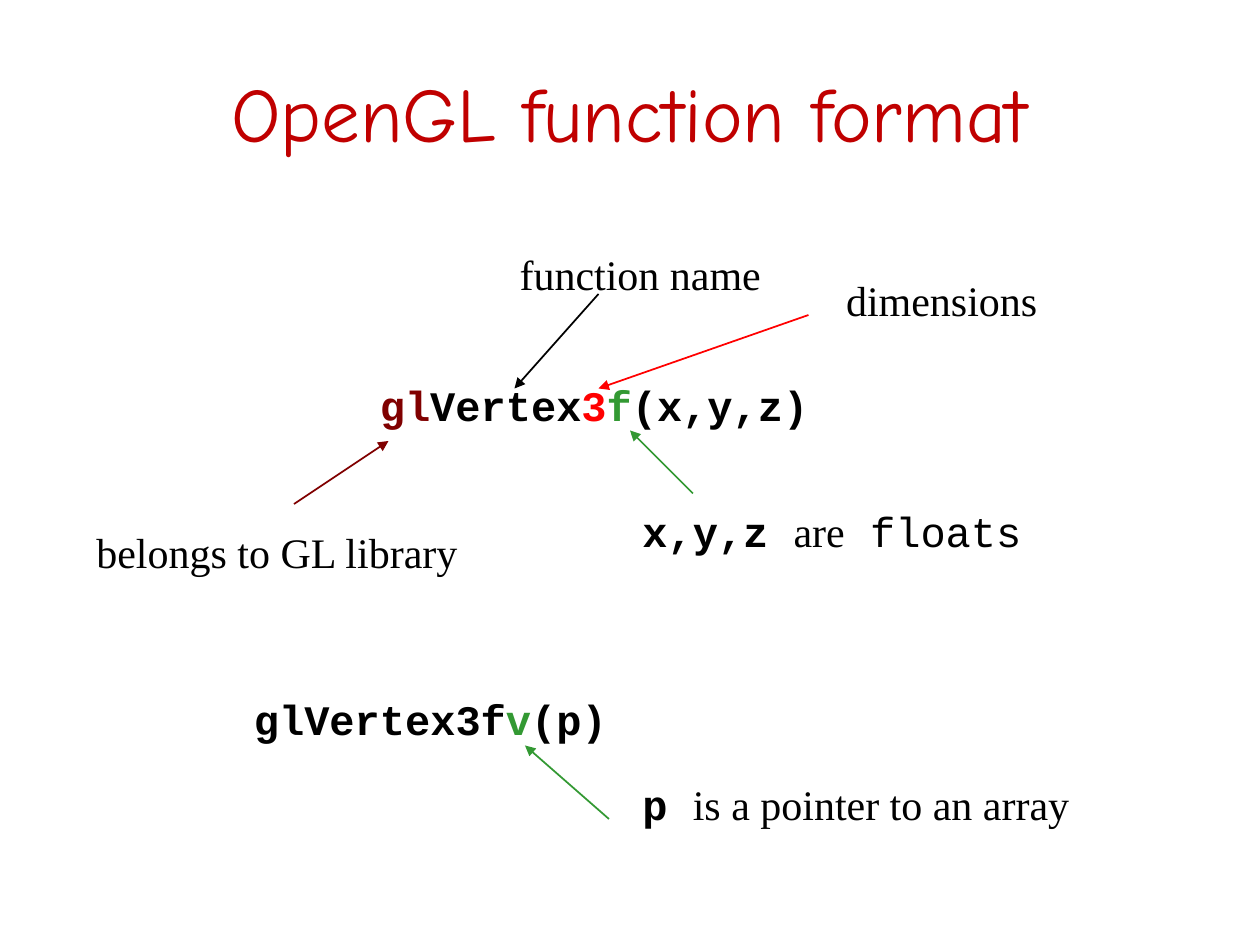
from lxml import etree
from pptx import Presentation
from pptx.dml.color import RGBColor
from pptx.enum.shapes import MSO_CONNECTOR
from pptx.enum.text import MSO_ANCHOR, MSO_AUTO_SIZE, PP_ALIGN
from pptx.oxml.ns import qn
from pptx.util import Inches, Pt

STRAIGHT = MSO_CONNECTOR.STRAIGHT
MIDDLE = MSO_ANCHOR.MIDDLE
FIT_SHAPE = MSO_AUTO_SIZE.SHAPE_TO_FIT_TEXT
CENTER = PP_ALIGN.CENTER

THEME = {
    "title": "C00000", "text": "000000", "library": "800000",
    "dimension": "FF0000", "type": "339933",
    "title_font": "Comic Neue", "code_font": "Courier New",
    "label_font": "Times New Roman",
    "title_size": 44, "body_size": 24, "line_width": 1, "line_spacing": 0.93,
}

prs = Presentation()
prs.slide_width, prs.slide_height = Inches(10), Inches(7.5)
s = prs.slides.add_slide(prs.slide_layouts[6])

# The slide is a grid of 120 columns by 90 rows
COL = prs.slide_width / 120
ROW = prs.slide_height / 90
LABEL_ROWS = 5.64


def add_text(col, row, cols, rows, runs, size):
    """Add a one-paragraph text box; runs are (text, font, colour, bold)."""
    box = s.shapes.add_textbox(int(col * COL), int(row * ROW),
                               int(cols * COL), int(rows * ROW))
    p = box.text_frame.paragraphs[0]
    p.line_spacing = THEME["line_spacing"]
    for text, font, color, bold in runs:
        r = p.add_run()
        r.text = text
        r.font.name = THEME[font]
        r.font.size = Pt(THEME[size])
        r.font.bold = bold
        r.font.color.rgb = RGBColor.from_string(THEME[color])
    return box.text_frame


def add_arrow(start, end, color):
    line = s.shapes.add_connector(
        STRAIGHT, int(start[0] * COL), int(start[1] * ROW),
        int(end[0] * COL), int(end[1] * ROW))
    line.line.color.rgb = RGBColor.from_string(THEME[color])
    line.line.width = Pt(THEME["line_width"])
    etree.SubElement(line.line._get_or_add_ln(), qn("a:tailEnd"), type="triangle")
    etree.SubElement(line._element.spPr, qn("a:effectLst"))


tf = add_text(6, 3.6, 108, 15,
              [("OpenGL function format", "title_font", "title", False)],
              "title_size")
tf.margin_left = tf.margin_right = tf.margin_top = tf.margin_bottom = 0
tf.word_wrap = True
tf.vertical_anchor = MIDDLE
tf.paragraphs[0].alignment = CENTER

# Column, row, width in columns, runs
labels = [
    (35, 36, 43.2, [("gl", "code_font", "library", True),
                    ("Vertex", "code_font", "text", True),
                    ("3", "code_font", "dimension", True),
                    ("f", "code_font", "type", True),
                    ("(x,y,z)", "code_font", "text", True)]),
    (8, 50, 37, [("belongs to GL library", "label_font", "text", False)]),
    (48.3, 23.55, 25.8, [("function name", "label_font", "text", False)]),
    (79.4, 26, 20.6, [("dimensions", "label_font", "text", False)]),
    (60, 48, 38.5, [("x,y,z ", "code_font", "text", True),
                    ("are", "label_font", "text", False),
                    (" floats", "code_font", "text", False)]),
    (23, 65.9, 36, [("glVertex3f", "code_font", "text", True),
                    ("v", "code_font", "type", True),
                    ("(p)", "code_font", "text", True)]),
    (60, 74, 43.1, [("p ", "code_font", "text", True),
                    ("is a pointer to an array", "label_font", "text", False)]),
]
for col, row, cols, runs in labels:
    tf = add_text(col, row, cols, LABEL_ROWS, runs, "body_size")
    tf.word_wrap = False
    tf.auto_size = FIT_SHAPE

arrows = [
    ((28, 48), (37, 42), "library"),
    ((57, 28), (49, 37), "text"),
    ((77, 30), (57, 37), "dimension"),
    ((66, 47), (60, 41), "type"),
    ((58, 78), (50, 71), "type"),
]
for start, end, color in arrows:
    add_arrow(start, end, color)

prs.save("out.pptx")
